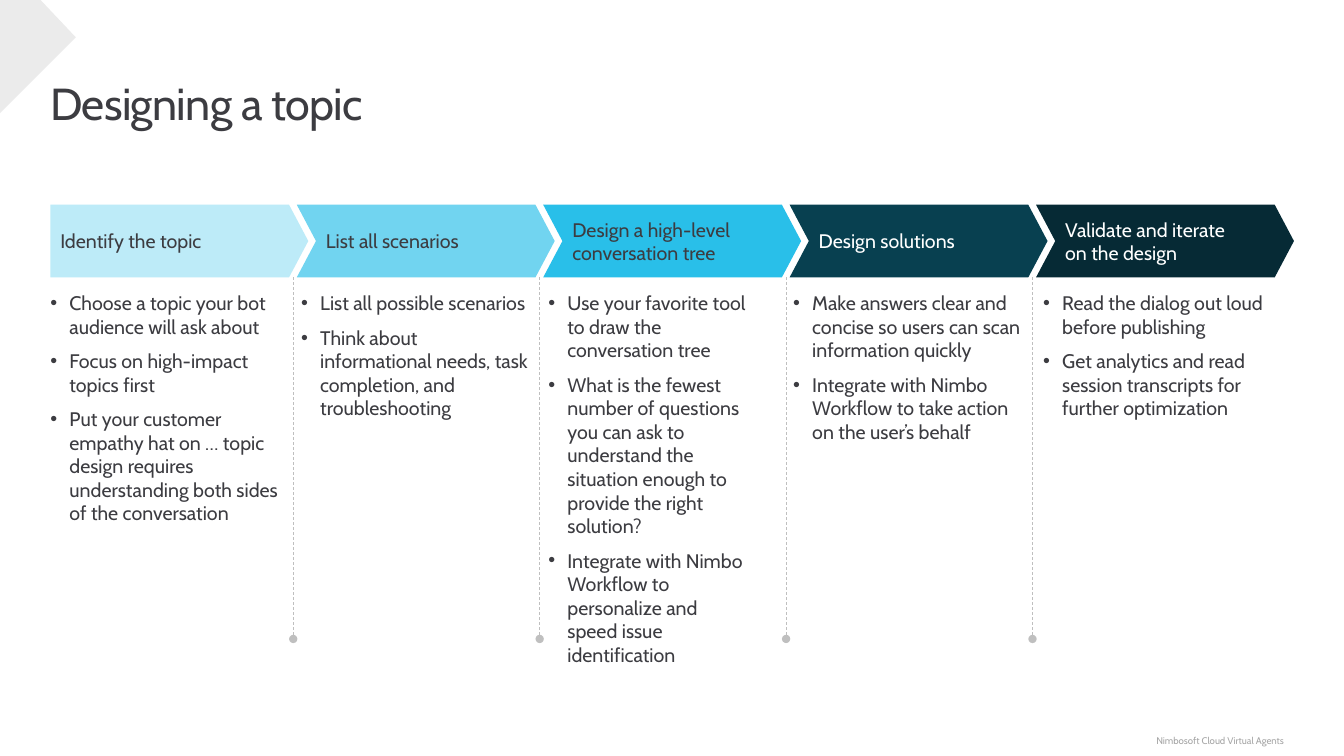
"""Builds the slide on the five steps of designing a topic."""
import dataclasses

import lxml.etree
import pptx
import pptx.dml.color
import pptx.enum.dml
import pptx.enum.shapes
import pptx.enum.text
import pptx.oxml.ns
import pptx.util

Cm = pptx.util.Cm
Pt = pptx.util.Pt
Anchor = pptx.enum.text.MSO_ANCHOR
Align = pptx.enum.text.PP_ALIGN
AutoSize = pptx.enum.text.MSO_AUTO_SIZE
Preset = pptx.enum.shapes.MSO_SHAPE


@dataclasses.dataclass(frozen=True)
class Theme:
    font: str = "Cabin"
    ink: str = "3C3C41"
    light: str = "FFFFFF"
    corner: str = "EBEBEB"
    divider: str = "BFBFBF"
    footer: str = "A6A6A6"
    steps: tuple = ("B8EAF8", "71D4F0", "29BFE9", "084050", "062A35")
    title_size: float = 32
    body_size: float = 14
    footer_size: float = 6.9


LEFT = 1.27
PITCH = 6.21
STEPS = [
    ("Identify the topic", 1.27, 5.79, 7.44, [
        "Choose a topic your bot audience will ask about",
        "Focus on high-impact topics first",
        "Put your customer empathy hat on … topic design requires "
        "understanding both sides of the conversation"]),
    ("List all scenarios", 7.59, 5.84, 3.89, [
        "List all possible scenarios",
        "Think about informational needs, task completion, and troubleshooting"]),
    ("Design a high-level\nconversation tree", 13.82, 5.44, 9.55, [
        "Use your favorite tool to draw the conversation tree",
        "What is the fewest number of questions you can ask to understand "
        "the situation enough to provide the right solution?",
        "Integrate with Nimbo Workflow to personalize and\nspeed issue identification"]),
    ("Design solutions", 19.99, 5.89, 4.47, [
        "Make answers clear and concise so users can scan\ninformation quickly",
        "Integrate with Nimbo Workflow to take action on the user’s behalf"]),
    ("Validate and iterate\non the design", 26.29, 5.69, 3.28, [
        "Read the dialog out loud before publishing",
        "Get analytics and read session transcripts for further optimization"]),
]


def rgb(value):
    return pptx.dml.color.RGBColor.from_string(value)


def add_element(parent, tag, **attributes):
    return lxml.etree.SubElement(parent, pptx.oxml.ns.qn(tag), **attributes)


class SlideBuilder:
    def __init__(self, slide, theme):
        self.slide = slide
        self.theme = theme

    def add_text(self, paragraph, text, size, color, spacing=None):
        for index, line in enumerate(text.split("\n")):
            if index:
                paragraph.add_line_break()
            run = paragraph.add_run()
            run.text = line
            run.font.name = self.theme.font
            run.font.size = Pt(size)
            run.font.color.rgb = rgb(color)
            if spacing is not None:
                run._r.get_or_add_rPr().set("spc", str(spacing))

    def clear_margins(self, frame):
        frame.margin_left = frame.margin_right = 0
        frame.margin_top = frame.margin_bottom = 0
        frame.word_wrap = True

    def paint(self, shape, color):
        shape.shadow.inherit = False
        shape.fill.solid()
        shape.fill.fore_color.rgb = rgb(color)
        shape.line.fill.background()

    def title(self, text):
        title = self.slide.shapes.title
        title.left, title.top = Cm(LEFT), Cm(1.9)
        title.width, title.height = Cm(31.4), Cm(1.38)
        frame = title.text_frame
        self.clear_margins(frame)
        frame.vertical_anchor = Anchor.TOP
        frame.auto_size = AutoSize.SHAPE_TO_FIT_TEXT
        frame.paragraphs[0].alignment = Align.LEFT
        self.add_text(frame.paragraphs[0], text, self.theme.title_size, self.theme.ink, -50)

    def corner(self):
        builder = self.slide.shapes.build_freeform(Cm(-0.15), Cm(-1.24))
        builder.add_line_segments([(Cm(1.91), Cm(0.94)), (Cm(-0.15), Cm(3))])
        self.paint(builder.convert_to_shape(), self.theme.corner)

    def step(self, index, text):
        preset = Preset.CHEVRON if index else Preset.PENTAGON
        shape = self.slide.shapes.add_shape(
            preset, Cm(LEFT + index * PITCH), Cm(5.16), Cm(6.5), Cm(1.83))
        shape.adjustments[0] = 0.265
        self.paint(shape, self.theme.steps[index])
        if index == 0:
            color = shape._element.spPr.find(".//" + pptx.oxml.ns.qn("a:srgbClr"))
            add_element(color, "a:alpha", val="93000")
        frame = shape.text_frame
        frame.word_wrap = False
        frame.vertical_anchor = Anchor.MIDDLE
        paragraph = frame.paragraphs[0]
        paragraph.alignment = Align.LEFT
        ink = self.theme.ink if index < 3 else self.theme.light
        self.add_text(paragraph, text, self.theme.body_size, ink)

    def bullets(self, left, width, height, items):
        box = self.slide.shapes.add_textbox(Cm(left), Cm(7.34), Cm(width), Cm(height))
        frame = box.text_frame
        self.clear_margins(frame)
        frame.auto_size = AutoSize.SHAPE_TO_FIT_TEXT
        for index, item in enumerate(items):
            paragraph = frame.add_paragraph() if index else frame.paragraphs[0]
            properties = paragraph._p.get_or_add_pPr()
            properties.set("marL", str(int(Cm(0.48))))
            properties.set("indent", str(-int(Cm(0.48))))
            add_element(properties, "a:buFont", typeface="Arial")
            add_element(properties, "a:buChar", char="•")
            if index:
                paragraph.space_before = Pt(7.8)
            self.add_text(paragraph, item, self.theme.body_size, self.theme.ink)

    def divider(self, index):
        x = Cm(7.39 + index * PITCH)
        line = self.slide.shapes.add_connector(
            pptx.enum.shapes.MSO_CONNECTOR.STRAIGHT, x, Cm(6.99), x, Cm(16.1))
        line.line.color.rgb = rgb(self.theme.divider)
        line.line.width = Pt(0.5)
        line.line.dash_style = pptx.enum.dml.MSO_LINE.DASH
        properties = line._element.spPr
        add_element(properties.find(pptx.oxml.ns.qn("a:ln")), "a:tailEnd", type="oval")
        add_element(properties, "a:effectLst")

    def footer(self, text):
        box = self.slide.shapes.add_textbox(Cm(24.36), Cm(18.42), Cm(8), Cm(0.5))
        frame = box.text_frame
        self.clear_margins(frame)
        frame.vertical_anchor = Anchor.MIDDLE
        frame.paragraphs[0].alignment = Align.RIGHT
        self.add_text(frame.paragraphs[0], text, self.theme.footer_size, self.theme.footer)


def main():
    presentation = pptx.Presentation()
    presentation.slide_width = Cm(33.87)
    presentation.slide_height = Cm(19.05)
    slide = presentation.slides.add_slide(presentation.slide_layouts[5])
    builder = SlideBuilder(slide, Theme())
    builder.footer("Nimbosoft Cloud Virtual Agents")
    builder.corner()
    builder.title("Designing a topic")
    for index, (heading, *_) in enumerate(STEPS):
        builder.step(index, heading)
    for index, (_, left, width, height, items) in enumerate(STEPS):
        builder.bullets(left, width, height, items)
        if index < len(STEPS) - 1:
            builder.divider(index)
    presentation.save("out.pptx")


if __name__ == "__main__":
    main()
